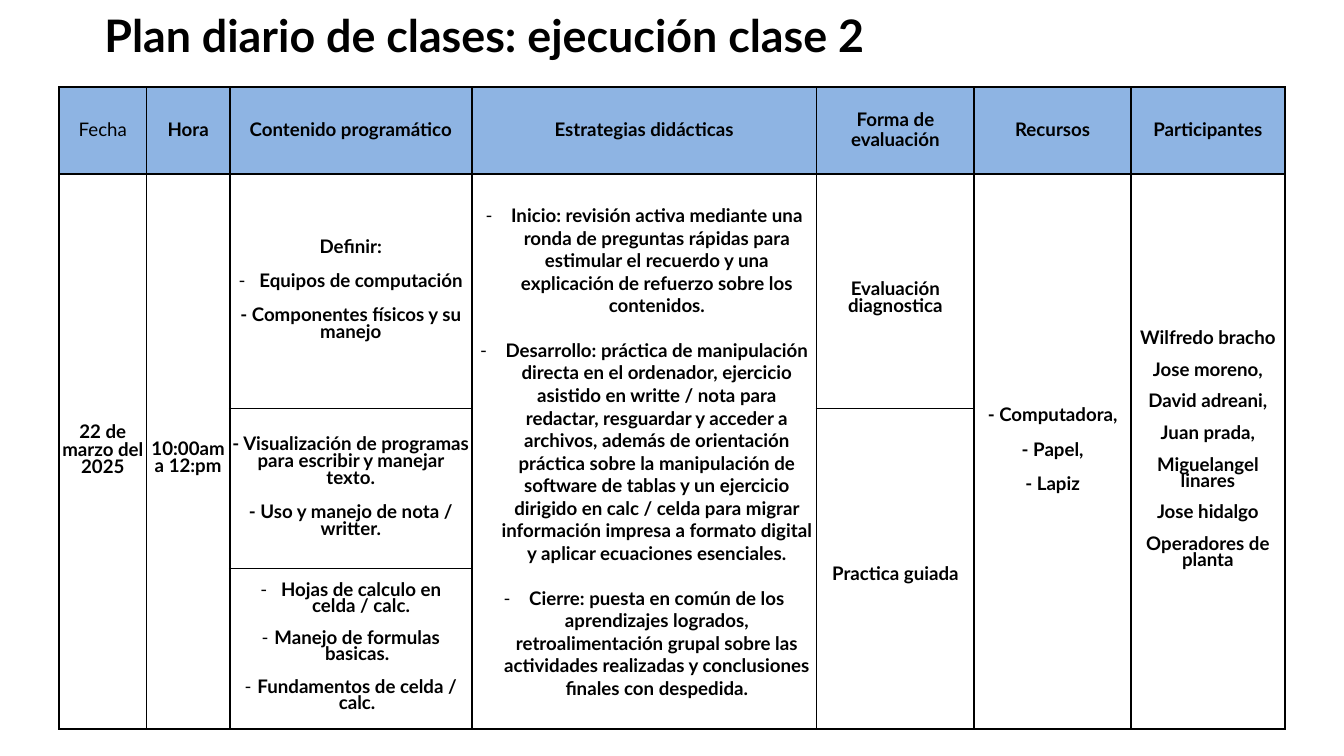
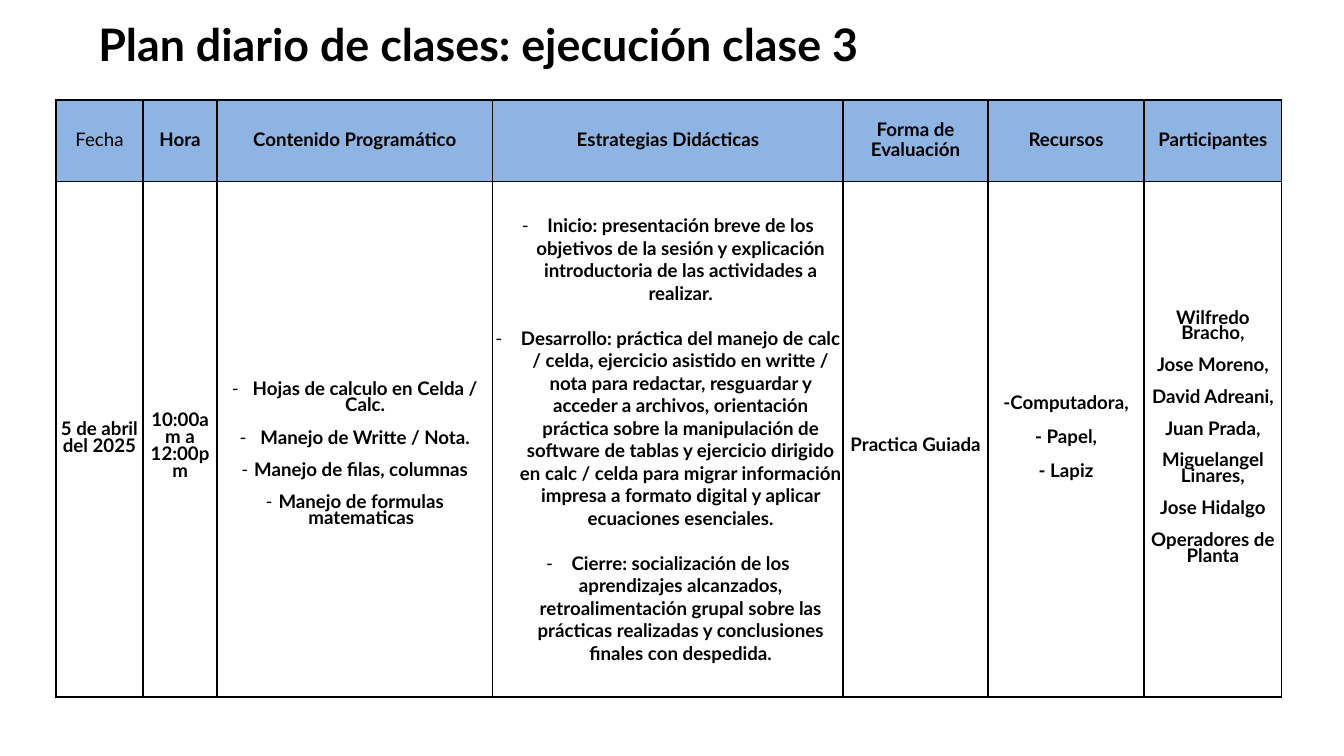
from dataclasses import dataclass

import pptx
import pptx.dml.color
import pptx.enum.text
import pptx.oxml.ns
import pptx.presentation
import pptx.slide
import pptx.table
import pptx.text.text
import pptx.util
from lxml import etree
from pptx.util import Inches, Pt

COLOURS = {"text": "000000", "border": "000000", "heading": "8EB4E3"}
FONT = "Lato"
BODY_SIZE, TITLE_SIZE = 20, 48
HEADING_LEADING, BODY_LEADING, LIST_LEADING, NAMES_LEADING = 21.6, 18.3, 17.3, 17
NATURAL_LINE = 24  # height of a 20 pt line at single spacing
CELL_MARGIN = 0.02
WIDE_INDENT, LIST_INDENT, NARROW_INDENT = 0.38, 0.31, 0.19
HEADINGS = (
    "Fecha", "Hora", "Contenido Programático", "Estrategias Didácticas",
    "Forma de Evaluación", "Recursos", "Participantes",
)


@dataclass(frozen=True)
class Item:
    text: str
    indent: float = 0  # a dash bullet hangs in any indent
    gap: bool = True  # one line of space above, unless first


@dataclass(frozen=True)
class Entry:
    row: int
    column: int
    items: tuple[Item, ...]
    leading: float | None = BODY_LEADING
    drop: float = 0  # points kept free at the top of the cell
    rows: int = 1
    bold: bool = True


@dataclass(frozen=True)
class Plan:
    title: str
    title_left: float
    title_top: float
    title_width: float
    left: float
    top: float
    columns: tuple[float, ...]
    rows: tuple[float, ...]
    headings: tuple[str, ...]
    entries: tuple[Entry, ...]


def plain(*texts: str) -> tuple[Item, ...]:
    return tuple(Item(text) for text in texts)


def bulleted(indent: float, *texts: str) -> tuple[Item, ...]:
    return tuple(Item(text, indent) for text in texts)


CLASS_2 = Plan(
    "Plan diario de clases: ejecución clase 2", -1.5, 0.54, 17.42,
    left=0.88, top=1.3,
    columns=(1.3, 1.24, 3.6, 5.13, 2.35, 2.33, 2.29),
    rows=(1.29, 3.49, 2.38, 2.39),
    headings=tuple(heading.capitalize() for heading in HEADINGS),
    entries=(
        Entry(1, 0, plain("22 de marzo del 2025"), rows=3),
        Entry(1, 1, plain("10:00am a 12:pm"), drop=17.3, rows=3),
        Entry(1, 2, (
            Item("Definir:"),
            Item("Equipos de computación", LIST_INDENT),
            Item("- Componentes físicos y su manejo"),
        )),
        Entry(2, 2, plain(
            "- Visualización de programas para escribir y manejar texto.",
            "- Uso y manejo de nota / writter.",
        )),
        Entry(3, 2, (
            Item("Hojas de calculo en celda / calc.", LIST_INDENT),
            *bulleted(
                NARROW_INDENT,
                "Manejo de formulas basicas.",
                "Fundamentos de celda / calc.",
            ),
        ), LIST_LEADING),
        Entry(1, 3, bulleted(
            WIDE_INDENT,
            "Inicio: revisión activa mediante una ronda de preguntas rápidas para "
            "estimular el recuerdo y una explicación de refuerzo sobre los contenidos.",
            "Desarrollo: práctica de manipulación directa en el ordenador, ejercicio "
            "asistido en writte / nota para redactar, resguardar y acceder a archivos, "
            "además de orientación práctica sobre la manipulación de software de tablas "
            "y un ejercicio dirigido en calc / celda para migrar información impresa a "
            "formato digital y aplicar ecuaciones esenciales.",
            "Cierre: puesta en común de los aprendizajes logrados, retroalimentación "
            "grupal sobre las actividades realizadas y conclusiones finales con despedida.",
        ), None, rows=3),
        Entry(1, 4, plain("Evaluación diagnostica"), drop=18.3),
        Entry(2, 4, plain("Practica guiada"), drop=16.2, rows=2),
        Entry(1, 5, plain("- Computadora,", "- Papel,", "- Lapiz"), rows=3),
        Entry(1, 6, plain(
            "Wilfredo bracho", "Jose moreno,", "David adreani,", "Juan prada,",
            "Miguelangel linares", "Jose hidalgo", "Operadores de planta",
        ), NAMES_LEADING, rows=3),
    ),
)

CLASS_3 = Plan(
    "Plan diario de clases: ejecución clase 3", -1.42, 0.68, 17.08,
    left=0.83, top=1.49,
    columns=(1.3, 1.1, 4.1, 5.22, 2.15, 2.33, 2.04),
    rows=(1.21, 7.67),
    headings=HEADINGS,
    entries=(
        Entry(1, 0, plain("5 de abril del 2025")),
        Entry(1, 1, (Item("10:00am a"), Item("12:00pm", gap=False)), drop=17.3),
        Entry(1, 2, (
            *bulleted(
                LIST_INDENT,
                "Hojas de calculo en Celda / Calc.",
                "Manejo de Writte / Nota.",
            ),
            *bulleted(
                NARROW_INDENT,
                "Manejo de filas, columnas",
                "Manejo de formulas matematicas",
            ),
        ), LIST_LEADING, drop=36.6),
        Entry(1, 3, bulleted(
            WIDE_INDENT,
            "Inicio: presentación breve de los objetivos de la sesión y explicación "
            "introductoria de las actividades a realizar.",
            "Desarrollo: práctica del manejo de calc / celda, ejercicio asistido en "
            "writte / nota para redactar, resguardar y acceder a archivos, orientación "
            "práctica sobre la manipulación de software de tablas y ejercicio dirigido "
            "en calc / celda para migrar información impresa a formato digital y aplicar "
            "ecuaciones esenciales.",
            "Cierre: socialización de los aprendizajes alcanzados, retroalimentación "
            "grupal sobre las prácticas realizadas y conclusiones finales con despedida.",
        ), None),
        Entry(1, 4, plain("Practica Guiada"), drop=16.2),
        Entry(1, 5, plain("-Computadora,", "- Papel,", "- Lapiz")),
        Entry(1, 6, (
            *plain("Wilfredo Bracho,", "Jose Moreno,", "David Adreani,", "Juan Prada,"),
            Item("Miguelangel"),
            Item("Linares,", gap=False),
            *plain("Jose Hidalgo", "Operadores de Planta"),
        ), NAMES_LEADING),
    ),
)


def add_span(para: pptx.text.text._Paragraph, text: str, size: float, bold: bool) -> None:
    span = para.add_run()
    span.text = text
    span.font.name = FONT
    span.font.size = Pt(size)
    span.font.bold = bold
    span.font.color.rgb = pptx.dml.color.RGBColor.from_string(COLOURS["text"])


def hang_dash(para: pptx.text.text._Paragraph, indent: float) -> None:
    properties = para._p.get_or_add_pPr()
    properties.set("marL", str(Inches(indent)))
    properties.set("indent", str(-Inches(indent)))
    etree.SubElement(properties, pptx.oxml.ns.qn("a:buFont")).set("typeface", FONT)
    etree.SubElement(properties, pptx.oxml.ns.qn("a:buChar")).set("char", "-")


def fill_cell(cell: pptx.table._Cell, entry: Entry) -> None:
    cell.margin_top = Inches(CELL_MARGIN) + Pt(entry.drop)
    frame = cell.text_frame
    for index, item in enumerate(entry.items):
        para = frame.add_paragraph() if index else frame.paragraphs[0]
        para.alignment = pptx.enum.text.PP_ALIGN.CENTER
        if entry.leading:
            para.line_spacing = Pt(entry.leading)
        if index and item.gap:
            para.space_before = Pt(entry.leading or NATURAL_LINE)
        if item.indent:
            hang_dash(para, item.indent)
        add_span(para, item.text, BODY_SIZE, entry.bold)


def style_cell(cell: pptx.table._Cell, is_heading: bool) -> None:
    cell.vertical_anchor = pptx.enum.text.MSO_ANCHOR.MIDDLE
    cell.margin_left = cell.margin_right = Inches(CELL_MARGIN)
    cell.margin_top = cell.margin_bottom = Inches(CELL_MARGIN)
    properties = cell._tc.get_or_add_tcPr()
    for side in ("lnL", "lnR", "lnT", "lnB"):
        line = etree.SubElement(properties, pptx.oxml.ns.qn(f"a:{side}"), w=str(Pt(2.25)))
        paint = etree.SubElement(line, pptx.oxml.ns.qn("a:solidFill"))
        etree.SubElement(paint, pptx.oxml.ns.qn("a:srgbClr"), val=COLOURS["border"])
    if is_heading:
        cell.fill.solid()
        cell.fill.fore_color.rgb = pptx.dml.color.RGBColor.from_string(COLOURS["heading"])
    else:
        cell.fill.background()


def add_title(page: pptx.slide.Slide, plan: Plan) -> None:
    box = page.shapes.title
    box.left, box.top = Inches(plan.title_left), Inches(plan.title_top)
    box.width, box.height = Inches(plan.title_width), Inches(0.48)
    frame = box.text_frame
    frame.margin_left = frame.margin_right = frame.margin_top = frame.margin_bottom = 0
    frame.word_wrap = True
    frame.auto_size = pptx.enum.text.MSO_AUTO_SIZE.SHAPE_TO_FIT_TEXT
    frame.vertical_anchor = pptx.enum.text.MSO_ANCHOR.TOP
    para = frame.paragraphs[0]
    para.alignment = pptx.enum.text.PP_ALIGN.CENTER
    para.line_spacing = Pt(27)
    add_span(para, plan.title, TITLE_SIZE, True)


def add_schedule(page: pptx.slide.Slide, plan: Plan) -> None:
    table = page.shapes.add_table(
        len(plan.rows), len(plan.columns), Inches(plan.left), Inches(plan.top),
        Inches(sum(plan.columns)), Inches(sum(plan.rows)),
    ).table
    table.first_row = table.horz_banding = False
    for column, width in zip(table.columns, plan.columns):
        column.width = Inches(width)
    for index, (row, height) in enumerate(zip(table.rows, plan.rows)):
        row.height = Inches(height)
        for cell in row.cells:
            style_cell(cell, index == 0)
    headings = tuple(
        Entry(0, column, plain(text), HEADING_LEADING, bold=column > 0)
        for column, text in enumerate(plan.headings)
    )
    for entry in headings + plan.entries:
        cell = table.cell(entry.row, entry.column)
        if entry.rows > 1:
            cell.merge(table.cell(entry.row + entry.rows - 1, entry.column))
        fill_cell(cell, entry)


def add_plan(deck: pptx.presentation.Presentation, plan: Plan) -> None:
    page = deck.slides.add_slide(deck.slide_layouts.get_by_name("Title Only"))
    add_title(page, plan)
    add_schedule(page, plan)


def main() -> None:
    deck = pptx.Presentation()
    deck.slide_width, deck.slide_height = Inches(20), Inches(11.25)
    for plan in (CLASS_2, CLASS_3):
        add_plan(deck, plan)
    deck.save("out.pptx")


if __name__ == "__main__":
    main()
